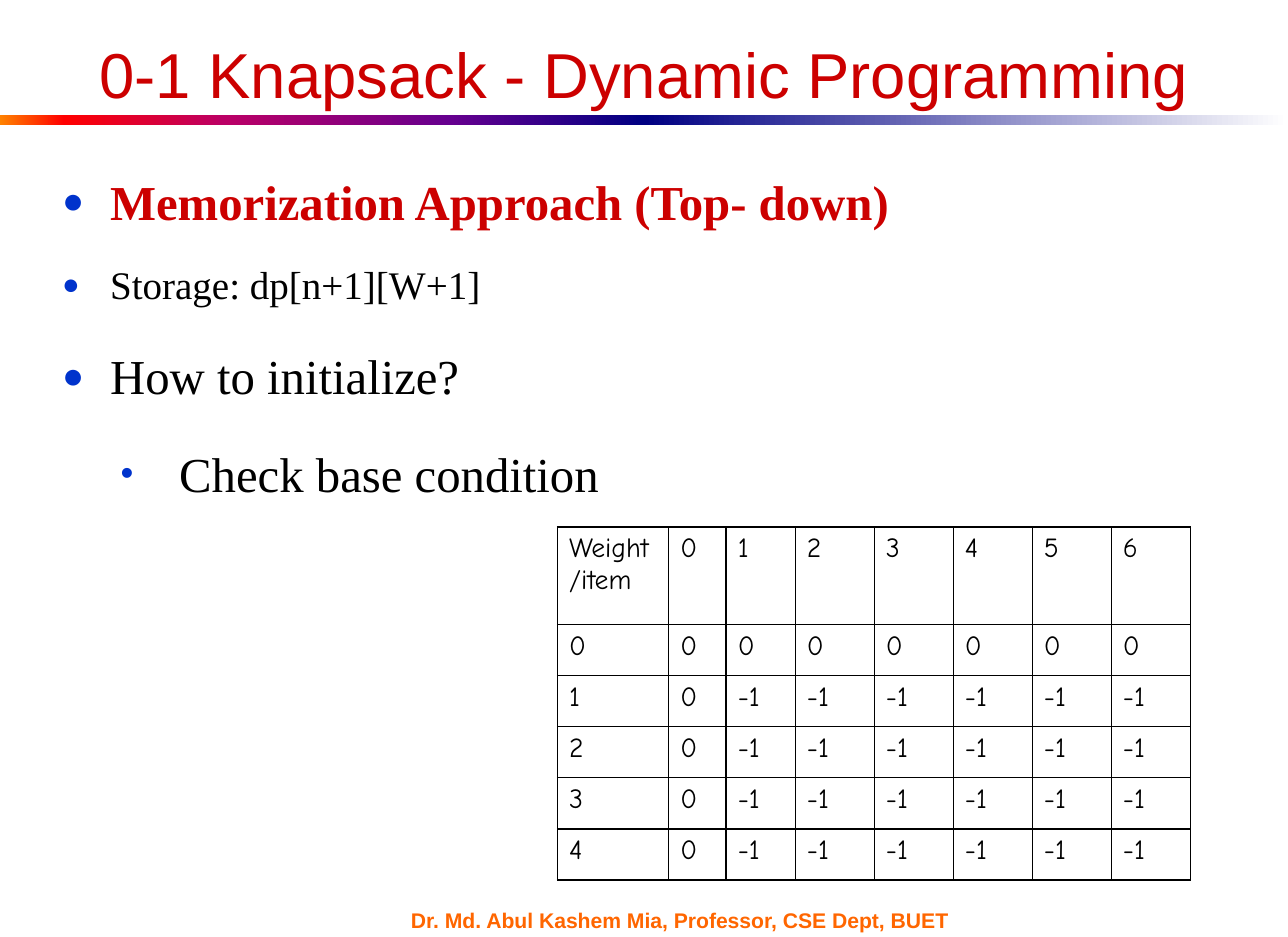
"""Build the 0-1 knapsack slide with its memo table."""
from dataclasses import dataclass

from lxml import etree
from pptx import Presentation
from pptx import util as u
from pptx.dml import color
from pptx.enum import shapes, text
from pptx.oxml import ns


@dataclass(frozen=True)
class Theme:
    red: str = "CC0000"
    orange: str = "FF6600"
    blue: str = "0033CC"
    black: str = "000000"
    heading_font: str = "Arial"
    body_font: str = "Times New Roman"
    table_font: str = "Comic Neue"
    title_size: int = 39
    body_size: int = 30
    storage_size: int = 24
    table_size: int = 17
    footer_size: int = 13


THEME = Theme()
WARM_STOPS = [(0, "FF8200"), (10, "FF0000"), (35, "BA0066"), (70, "66008F"), (100, "000082")]
FADE_STOPS = [(0, "000082"), (100, "FFFFFF")]
CAPACITY = 6
ITEMS = 4


def add_element(parent, tag, **attributes):
    return etree.SubElement(parent, ns.qn(tag), attributes)


def add_color(parent, value):
    add_element(parent, "a:srgbClr", val=value)


def write_text(paragraph, words, *, font, size, color_hex, bold=False,
               align=text.PP_ALIGN.LEFT):
    paragraph.alignment = align
    run = paragraph.add_run()
    run.text = words
    run.font.name = font
    run.font.size = u.Pt(size)
    run.font.bold = bold
    run.font.color.rgb = color.RGBColor.from_string(color_hex)


class SlideBuilder:
    def __init__(self, slide, theme):
        self.slide = slide
        self.theme = theme

    def place(self, shape, left, top, width, height):
        shape.left, shape.top = u.Pt(left), u.Pt(top)
        shape.width, shape.height = u.Pt(width), u.Pt(height)

    def set_frame(self, frame, anchor, side, top):
        frame.word_wrap = True
        frame.auto_size = text.MSO_AUTO_SIZE.NONE
        frame.vertical_anchor = anchor
        frame.margin_left = frame.margin_right = u.Pt(side)
        frame.margin_top, frame.margin_bottom = u.Pt(top), u.Pt(3.6)

    def gradient_bar(self, left, stops):
        bar = self.slide.shapes.add_shape(
            shapes.MSO_SHAPE.RECTANGLE, u.Pt(left), u.Pt(70.5), u.Pt(396), u.Pt(6.5))
        bar.shadow.inherit = False
        bar.line.fill.background()
        bar.fill.gradient()
        bar.fill.gradient_angle = 0
        stop_list = next(bar.element.iter(ns.qn("a:gsLst")))
        stop_list.clear()
        for position, value in stops:
            add_color(add_element(stop_list, "a:gs", pos=str(position * 1000)), value)

    def title(self, words):
        title = self.slide.shapes.title
        self.place(title, 39.6, 13, 712.8, 38.9)
        self.set_frame(title.text_frame, text.MSO_ANCHOR.TOP, 7.9, 8.5)
        write_text(title.text_frame.paragraphs[0], words, font=self.theme.heading_font,
                   size=self.theme.title_size, color_hex=self.theme.red,
                   align=text.PP_ALIGN.CENTER)

    def bullet(self, paragraph, symbol, margin, hanging):
        properties = paragraph._p.get_or_add_pPr()
        properties.set("marL", str(u.Pt(margin)))
        properties.set("indent", str(-u.Pt(hanging)))
        add_color(add_element(properties, "a:buClr"), self.theme.blue)
        add_element(properties, "a:buSzPct", val="75000")
        add_element(properties, "a:buFont", typeface=self.theme.heading_font)
        add_element(properties, "a:buChar", char=symbol)

    def bullet_list(self, entries):
        body = self.slide.placeholders[1]
        self.place(body, 31, 85, 730, 478)
        frame = body.text_frame
        self.set_frame(frame, text.MSO_ANCHOR.TOP, 7.2, 6)
        for index, (words, level, size, color_hex, bold) in enumerate(entries):
            paragraph = frame.add_paragraph() if index else frame.paragraphs[0]
            paragraph.level = level
            self.bullet(paragraph, *(("•", 72, 36) if level else ("●", 29.5, 29.5)))
            paragraph.line_spacing = 1.4
            paragraph.space_before = u.Pt(round(size * 0.31, 1) if index else 0)
            write_text(paragraph, words, font=self.theme.body_font, size=size,
                       color_hex=color_hex, bold=bold)

    def border(self, cell):
        properties = cell._tc.get_or_add_tcPr()
        for side in ("a:lnL", "a:lnR", "a:lnT", "a:lnB"):
            line = add_element(properties, side, w=str(u.Pt(1)))
            add_color(add_element(line, "a:solidFill"), self.theme.black)

    def table(self, rows, widths, heights):
        table = self.slide.shapes.add_table(
            len(rows), len(widths), u.Pt(342.8), u.Pt(324),
            u.Pt(sum(widths)), u.Pt(sum(heights))).table
        table.first_row = table.horz_banding = False
        for column, width in zip(table.columns, widths):
            column.width = u.Pt(width)
        for row, height, values in zip(table.rows, heights, rows):
            row.height = u.Pt(height)
            for cell, value in zip(row.cells, values):
                self.border(cell)
                cell.fill.background()
                write_text(cell.text_frame.paragraphs[0], str(value),
                           font=self.theme.table_font, size=self.theme.table_size,
                           color_hex=self.theme.black)

    def footer(self, words):
        box = self.slide.shapes.add_textbox(u.Pt(244.8), u.Pt(558.7), u.Pt(369.4), u.Pt(13.7))
        self.set_frame(box.text_frame, text.MSO_ANCHOR.MIDDLE, 7.9, 3.6)
        write_text(box.text_frame.paragraphs[0], words, font=self.theme.heading_font,
                   size=self.theme.footer_size, color_hex=self.theme.orange, bold=True)


def main():
    presentation = Presentation()
    presentation.slide_width, presentation.slide_height = u.Pt(792), u.Pt(576)
    slide = presentation.slides.add_slide(presentation.slide_layouts[1])
    builder = SlideBuilder(slide, THEME)

    builder.gradient_bar(0, WARM_STOPS)
    builder.gradient_bar(396, FADE_STOPS)
    builder.footer("Dr. Md. Abul Kashem Mia, Professor, CSE Dept, BUET")
    builder.title("0-1 Knapsack - Dynamic Programming")
    builder.bullet_list([
        ("Memorization Approach (Top- down)", 0, THEME.body_size, THEME.red, True),
        ("Storage: dp[n+1][W+1]", 0, THEME.storage_size, THEME.black, False),
        ("How to initialize?", 0, THEME.body_size, THEME.black, False),
        ("Check base condition", 1, THEME.body_size, THEME.black, False),
    ])

    header = ["Weight/item", *range(CAPACITY + 1)]
    base_row = [0] * (CAPACITY + 2)
    item_rows = [[item, 0] + [-1] * CAPACITY for item in range(1, ITEMS + 1)]
    builder.table([header, base_row, *item_rows],
                  widths=[68.4, 35.3, 42.5] + [48.6] * 5,
                  heights=[60] + [31.4] * (ITEMS + 1))
    presentation.save("out.pptx")


if __name__ == "__main__":
    main()
